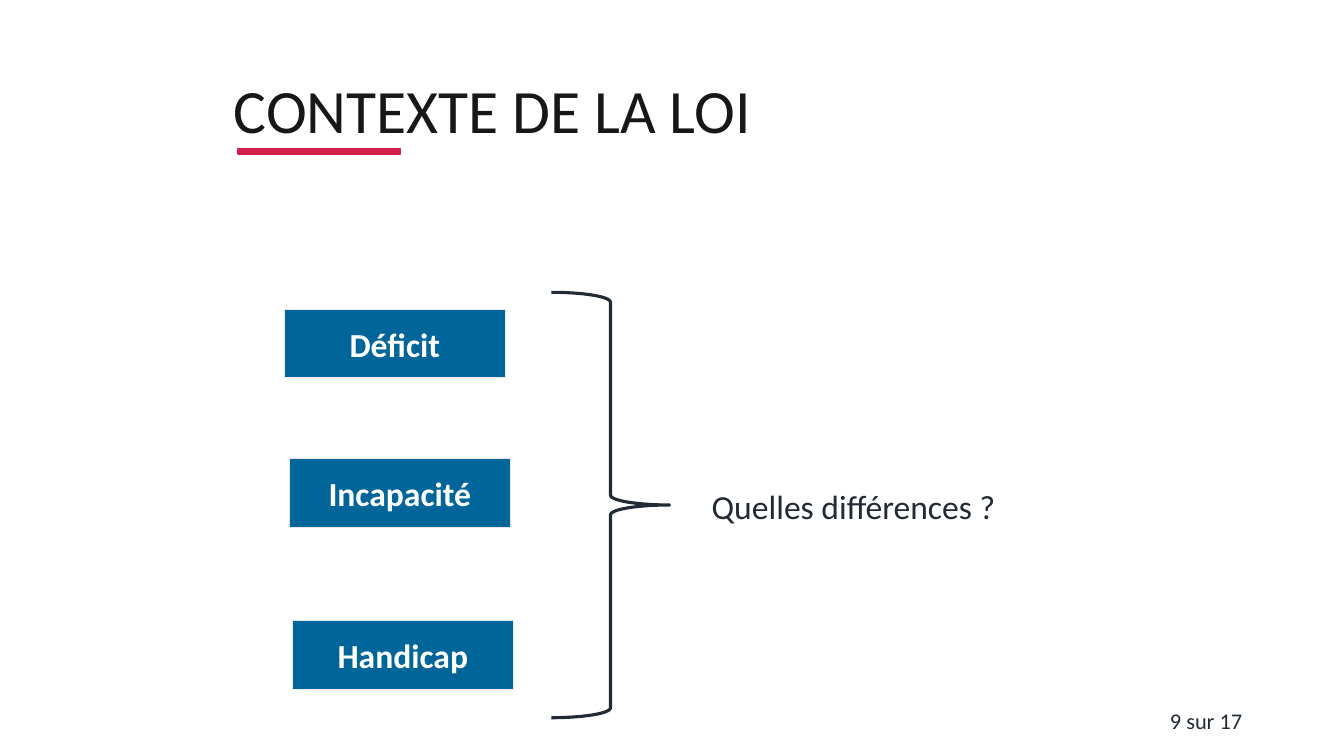
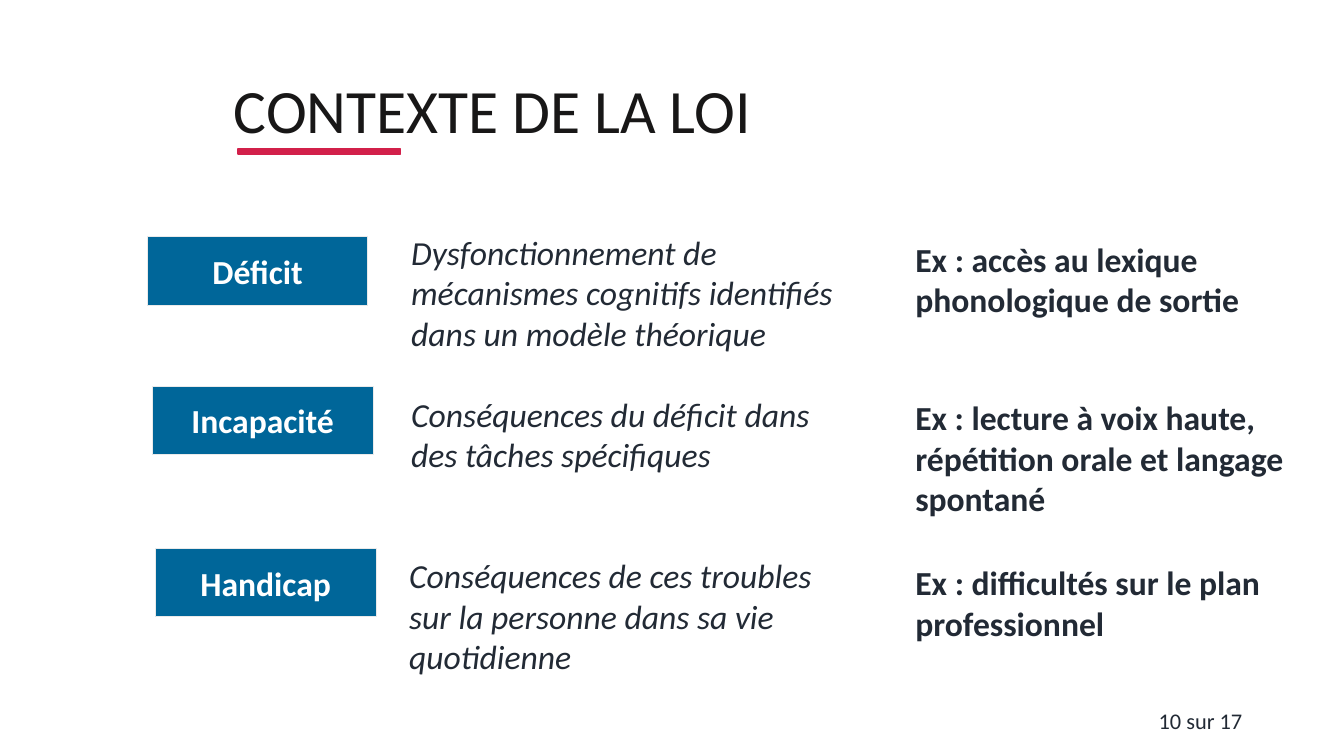
"""Build two slides on the context of the law: deficit, incapacity and handicap."""
from dataclasses import dataclass

from pptx import Presentation
from pptx.dml.color import RGBColor
from pptx.enum.shapes import MSO_SHAPE
from pptx.enum.text import MSO_ANCHOR, MSO_AUTO_SIZE, PP_ALIGN
from pptx.presentation import Presentation as Deck
from pptx.shapes.autoshape import Shape
from pptx.slide import Slide
from pptx.util import Emu, Pt

PX = 9144
FONT = "Calibri"
COLORS = {
    "title": "181717",
    "accent": "D2204A",
    "label": "006699",
    "label_line": "EAEAEA",
    "label_text": "FFFFFF",
    "text": "222A35",
}
TITLE = "CONTEXTE DE LA LOI"
SLIDE_TOTAL = 17


@dataclass(frozen=True)
class Box:
    left: int
    top: int
    width: int
    height: int

    def emu(self) -> tuple[Emu, Emu, Emu, Emu]:
        return (Emu(self.left * PX), Emu(self.top * PX),
                Emu(self.width * PX), Emu(self.height * PX))


@dataclass(frozen=True)
class Style:
    size: int = 24
    color: str = "text"
    bold: bool = False
    italic: bool = False
    align: PP_ALIGN = PP_ALIGN.LEFT
    anchor: MSO_ANCHOR = MSO_ANCHOR.TOP
    wrap: bool = True
    grow: bool = False
    line_spacing: float = 1.0


@dataclass(frozen=True)
class Label:
    text: str
    shift: int
    drop: int


@dataclass(frozen=True)
class Passage:
    text: str
    box: Box


TITLE_STYLE = Style(44, "title", anchor=MSO_ANCHOR.MIDDLE, line_spacing=0.9)
PAGE_STYLE = Style(16, align=PP_ALIGN.RIGHT, anchor=MSO_ANCHOR.MIDDLE)
LABEL_STYLE = Style(color="label_text", bold=True, align=PP_ALIGN.CENTER,
                    anchor=MSO_ANCHOR.MIDDLE, wrap=False)
QUESTION_STYLE = Style(wrap=False, grow=True)
DEFINITION_STYLE = Style(italic=True, grow=True)
EXAMPLE_STYLE = Style(bold=True, grow=True)

LABELS = (
    Label("Déficit", 0, 0),
    Label("Incapacité", 5, 148),
    Label("Handicap", 8, 309),
)
DEFINITIONS = (
    Passage("Dysfonctionnement de mécanismes cognitifs identifiés dans un modèle théorique",
            Box(398, 225, 480, 132)),
    Passage("Conséquences du déficit dans des tâches spécifiques",
            Box(398, 386, 423, 91)),
    Passage("Conséquences de ces troubles sur la personne dans sa vie quotidienne",
            Box(396, 546, 423, 132)),
)
EXAMPLES = (
    Passage("Ex : accès au lexique phonologique de sortie",
            Box(898, 232, 402, 91)),
    Passage("Ex : lecture à voix haute, répétition orale et langage spontané",
            Box(898, 389, 423, 132)),
    Passage("Ex : difficultés sur le plan professionnel",
            Box(898, 553, 362, 91)),
)


def rgb(name: str) -> RGBColor:
    return RGBColor.from_string(COLORS[name])


def write(shape: Shape, text: str, style: Style) -> None:
    frame = shape.text_frame
    frame.word_wrap = style.wrap
    frame.vertical_anchor = style.anchor
    frame.auto_size = MSO_AUTO_SIZE.SHAPE_TO_FIT_TEXT if style.grow else MSO_AUTO_SIZE.NONE
    paragraph = frame.paragraphs[0]
    paragraph.text = text
    paragraph.alignment = style.align
    paragraph.line_spacing = style.line_spacing
    font = paragraph.font
    font.name = FONT
    font.size = Pt(style.size)
    font.bold = style.bold
    font.italic = style.italic
    font.color.rgb = rgb(style.color)


def add_text(slide: Slide, text: str, box: Box, style: Style) -> None:
    write(slide.shapes.add_textbox(*box.emu()), text, style)


def add_outline(slide: Slide, kind: MSO_SHAPE, box: Box, fill: str | None,
                line: str, line_width: float) -> Shape:
    shape = slide.shapes.add_shape(kind, *box.emu())
    shape.shadow.inherit = False
    if fill is None:
        shape.fill.background()
    else:
        shape.fill.solid()
        shape.fill.fore_color.rgb = rgb(fill)
    shape.line.color.rgb = rgb(line)
    shape.line.width = Pt(line_width)
    return shape


def add_labels(slide: Slide, left: int, top: int) -> None:
    for label in LABELS:
        box = Box(left + label.shift, top + label.drop, 219, 68)
        shape = add_outline(slide, MSO_SHAPE.RECTANGLE, box, "label", "label_line", 0.75)
        write(shape, label.text, LABEL_STYLE)


def add_base(presentation: Deck, number: int) -> Slide:
    slide = presentation.slides.add_slide(presentation.slide_layouts[6])
    add_outline(slide, MSO_SHAPE.RECTANGLE, Box(236, 148, 161, 5), "accent", "accent", 1)
    add_text(slide, TITLE, Box(222, 40, 1019, 145), TITLE_STYLE)
    add_text(slide, f"{number} sur {SLIDE_TOTAL}", Box(942, 695, 300, 40), PAGE_STYLE)
    return slide


def add_question_slide(presentation: Deck) -> None:
    slide = add_base(presentation, 9)
    add_labels(slide, 282, 307)
    add_outline(slide, MSO_SHAPE.RIGHT_BRACE, Box(547, 290, 117, 422), None, "text", 2.25)
    add_text(slide, "Quelles différences ?", Box(696, 477, 305, 50), QUESTION_STYLE)


def add_definition_slide(presentation: Deck) -> None:
    slide = add_base(presentation, 10)
    add_labels(slide, 146, 235)
    for passages, style in ((DEFINITIONS, DEFINITION_STYLE), (EXAMPLES, EXAMPLE_STYLE)):
        for passage in passages:
            add_text(slide, passage.text, passage.box, style)


def main() -> None:
    presentation = Presentation()
    presentation.slide_width = Emu(1333 * PX)
    presentation.slide_height = Emu(750 * PX)
    add_question_slide(presentation)
    add_definition_slide(presentation)
    presentation.save("out.pptx")


if __name__ == "__main__":
    main()
